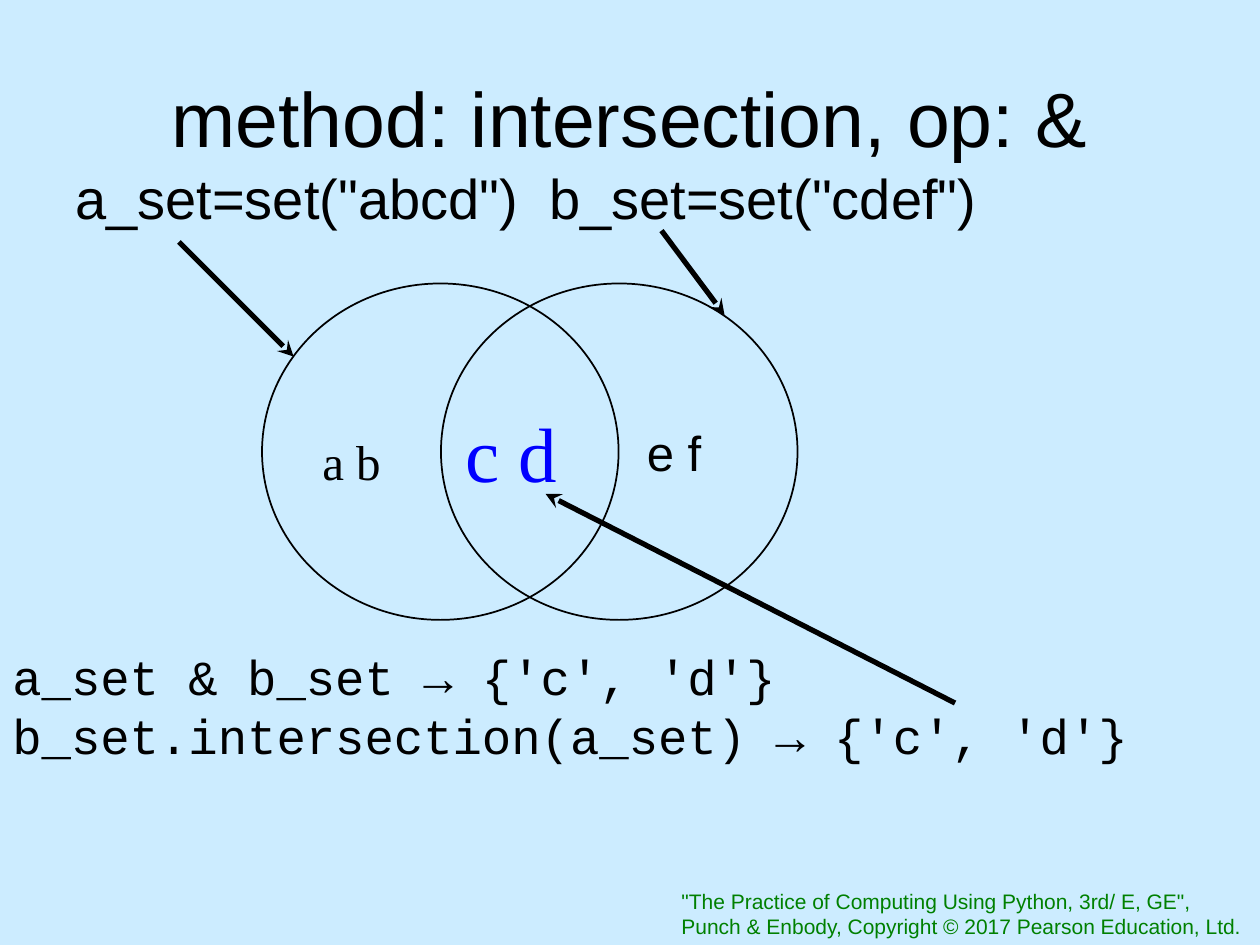
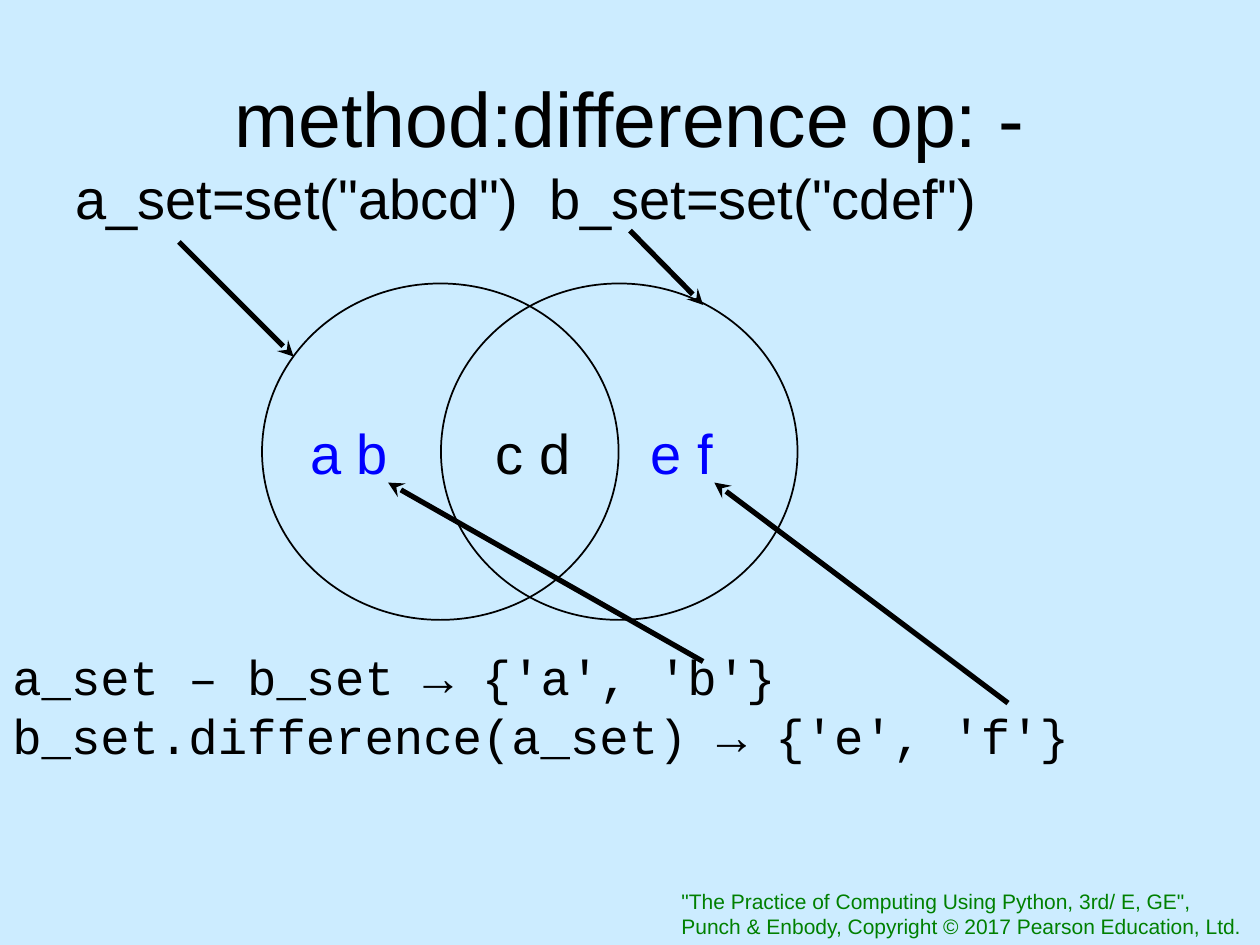
"""Build two slides on Python set operations, each with a Venn diagram."""

from dataclasses import dataclass

from lxml.etree import SubElement
from pptx import Presentation
from pptx.dml.color import RGBColor
from pptx.enum.shapes import MSO_CONNECTOR as Connector, MSO_SHAPE as Shape
from pptx.enum.text import MSO_ANCHOR as Anchor, PP_ALIGN as Align
from pptx.oxml.ns import qn
from pptx.slide import Slide
from pptx.text.text import TextFrame
from pptx.util import Inches, Pt

COLORS = {
    "background": "CCECFF",
    "ink": "000000",
    "highlight": "0000FF",
    "footer": "008000",
}
SANS, SERIF, CODE = "Arial", "Times New Roman", "Courier New"
FOOTER = (
    '"The Practice of Computing Using Python, 3rd/ E, GE",',
    "Punch & Enbody, Copyright © 2017 Pearson Education, Ltd.",
)
DEFINITIONS = 'a_set=set("abcd")\tb_set=set("cdef")'
SECOND_DEFINITION_TAB = 3.76
CIRCLE_LEFTS = (3.5, 2.08)
CIRCLE_TOP, CIRCLE_WIDTH, CIRCLE_HEIGHT = 2.25, 2.83, 2.67
MIDDLE = CIRCLE_TOP + CIRCLE_HEIGHT / 2
LABEL_WIDTH, LABEL_HEIGHT = 1.2, 0.8


@dataclass(frozen=True)
class Style:
    size: int
    font: str = SANS
    color: str = "ink"
    align: Align = Align.LEFT
    anchor: Anchor = Anchor.TOP
    wrap: bool = True


@dataclass(frozen=True)
class Box:
    left: float
    top: float
    width: float
    height: float


@dataclass(frozen=True)
class Label:
    text: str
    center: float
    size: int
    color: str = "ink"
    font: str = SANS
    middle: float = MIDDLE


@dataclass(frozen=True)
class Arrow:
    start: tuple[float, float]
    end: tuple[float, float]


@dataclass(frozen=True)
class SetOperation:
    title: str
    code: tuple[str, ...]
    labels: tuple[Label, ...]
    arrows: tuple[Arrow, ...]


TITLE_STYLE = Style(44, align=Align.CENTER, anchor=Anchor.MIDDLE)
DEFINITION_STYLE = Style(32)
CODE_STYLE = Style(28, CODE)
FOOTER_STYLE = Style(12, color="footer", wrap=False)
A_SET_ARROW = Arrow((1.42, 1.92), (2.33, 2.83))

OPERATIONS = (
    SetOperation(
        "method: intersection, op: &",
        ("a_set & b_set → {'c', 'd'}", "b_set.intersection(a_set) → {'c', 'd'}"),
        (
            Label("a b", 2.79, 28, font=SERIF, middle=MIDDLE + 0.07),
            Label("c d", 4.06, 44, "highlight", SERIF),
            Label("e f", 5.35, 28),
        ),
        (
            A_SET_ARROW,
            Arrow((5.25, 1.83), (5.75, 2.5)),
            Arrow((7.58, 5.58), (4.33, 3.92)),
        ),
    ),
    SetOperation(
        "method:difference op: -",
        ("a_set – b_set → {'a', 'b'}", "b_set.difference(a_set) → {'e', 'f'}"),
        (
            Label("a b", 2.77, 32, "highlight"),
            Label("c d", 4.23, 32),
            Label("e f", 5.41, 32, "highlight"),
        ),
        (
            A_SET_ARROW,
            Arrow((5, 1.83), (5.58, 2.42)),
            Arrow((5.58, 5.25), (3.08, 3.83)),
            Arrow((8, 5.58), (5.67, 3.83)),
        ),
    ),
)


def rgb(name: str) -> RGBColor:
    return RGBColor.from_string(COLORS[name])


def add_text(slide: Slide, box: Box, lines: tuple[str, ...], style: Style) -> TextFrame:
    shape = slide.shapes.add_textbox(
        Inches(box.left), Inches(box.top), Inches(box.width), Inches(box.height)
    )
    frame = shape.text_frame
    frame.word_wrap = style.wrap
    frame.vertical_anchor = style.anchor
    for index, line in enumerate(lines):
        paragraph = frame.add_paragraph() if index else frame.paragraphs[0]
        paragraph.alignment = style.align
        run = paragraph.add_run()
        run.text = line
        run.font.size = Pt(style.size)
        run.font.name = style.font
        run.font.color.rgb = rgb(style.color)
    return frame


def add_definitions(slide: Slide) -> None:
    frame = add_text(slide, Box(0.5, 1.25, 9, 5.45), (DEFINITIONS,), DEFINITION_STYLE)
    properties = frame.paragraphs[0]._p.get_or_add_pPr()
    tabs = SubElement(properties, qn("a:tabLst"))
    SubElement(tabs, qn("a:tab"), pos=str(Inches(SECOND_DEFINITION_TAB)), algn="l")


def add_circle(slide: Slide, left: float) -> None:
    circle = slide.shapes.add_shape(
        Shape.OVAL,
        Inches(left),
        Inches(CIRCLE_TOP),
        Inches(CIRCLE_WIDTH),
        Inches(CIRCLE_HEIGHT),
    )
    circle.shadow.inherit = False
    circle.fill.background()
    circle.line.color.rgb = rgb("ink")
    circle.line.width = Pt(1)


def add_label(slide: Slide, label: Label) -> None:
    box = Box(
        label.center - LABEL_WIDTH / 2,
        label.middle - LABEL_HEIGHT / 2,
        LABEL_WIDTH,
        LABEL_HEIGHT,
    )
    style = Style(label.size, label.font, label.color, Align.CENTER, Anchor.MIDDLE)
    add_text(slide, box, (label.text,), style)


def add_arrow(slide: Slide, arrow: Arrow) -> None:
    points = [Inches(value) for value in (*arrow.start, *arrow.end)]
    connector = slide.shapes.add_connector(Connector.STRAIGHT, *points)
    connector.line.color.rgb = rgb("ink")
    connector.line.width = Pt(3)
    SubElement(connector.line._get_or_add_ln(), qn("a:tailEnd"), type="stealth")
    SubElement(connector._element.spPr, qn("a:effectLst"))


def add_operation_slide(presentation: Presentation, operation: SetOperation) -> None:
    slide = presentation.slides.add_slide(presentation.slide_layouts[6])
    slide.background.fill.solid()
    slide.background.fill.fore_color.rgb = rgb("background")
    add_text(slide, Box(5.31, 7, 4.68, 0.5), FOOTER, FOOTER_STYLE)
    add_text(slide, Box(0.5, 0.3, 9, 1.25), (operation.title,), TITLE_STYLE)
    add_definitions(slide)
    add_text(slide, Box(0, 5.08, 10, 1.51), operation.code, CODE_STYLE)
    for left in CIRCLE_LEFTS:
        add_circle(slide, left)
    for label in operation.labels:
        add_label(slide, label)
    for arrow in operation.arrows:
        add_arrow(slide, arrow)


def main() -> None:
    presentation = Presentation()
    presentation.slide_width = Inches(10)
    presentation.slide_height = Inches(7.5)
    for operation in OPERATIONS:
        add_operation_slide(presentation, operation)
    presentation.save("out.pptx")


if __name__ == "__main__":
    main()
